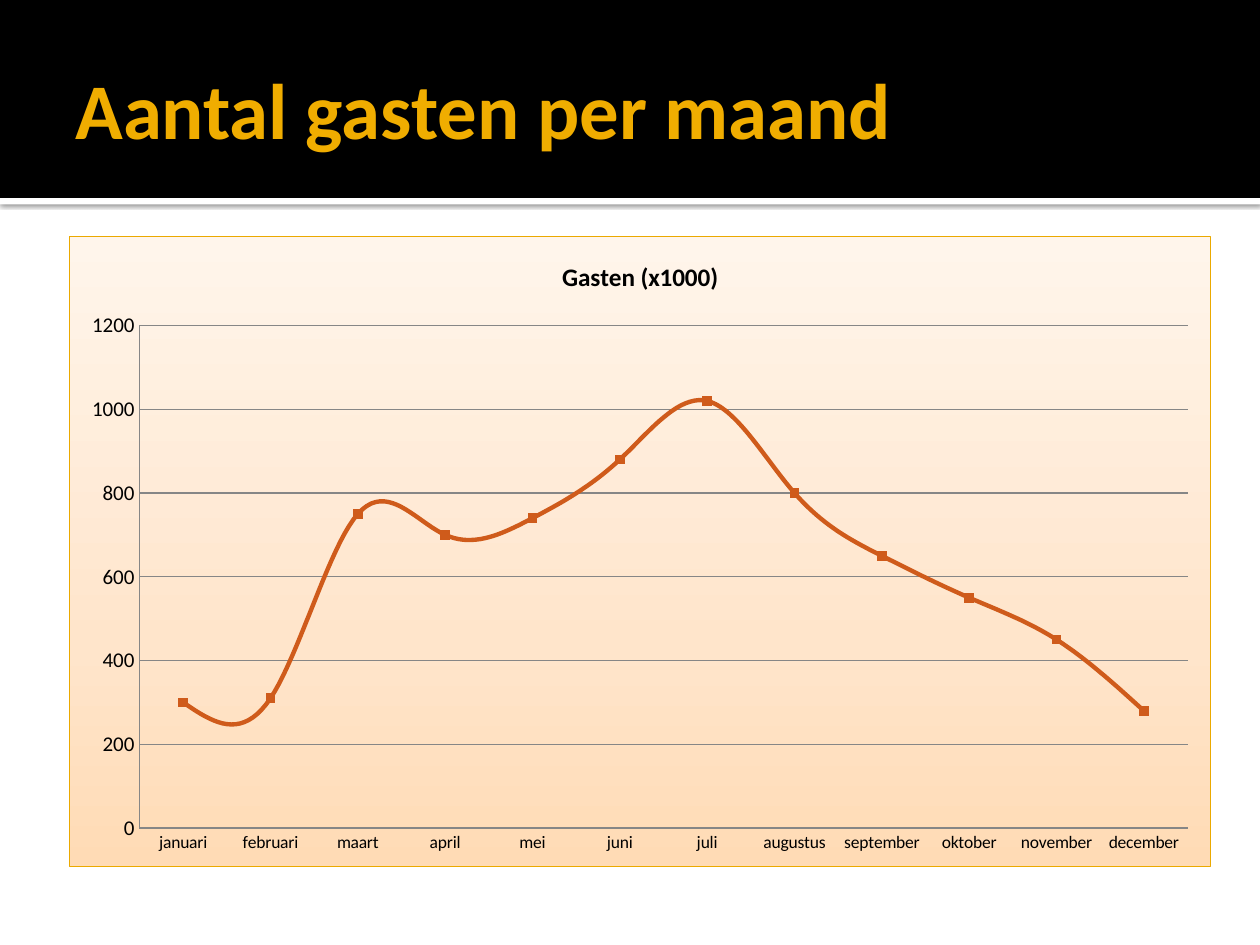
from lxml.etree import SubElement
from pptx import Presentation
from pptx.chart.data import CategoryChartData
from pptx.dml.color import RGBColor
from pptx.enum.chart import XL_CHART_TYPE, XL_MARKER_STYLE, XL_TICK_MARK
from pptx.enum.shapes import MSO_SHAPE
from pptx.enum.text import MSO_ANCHOR, PP_ALIGN
from pptx.oxml import parse_xml
from pptx.oxml.ns import nsdecls, qn
from pptx.util import Cm, Pt

COLORS = {
    "black": "000000",
    "white": "FFFFFF",
    "title": "F0AD00",
    "series": "CF5B1B",
    "grid": "868686",
    "border": "EBA900",
}
FONT = "Calibri"
GRADIENT = [(0, "FFDBB5"), (35, "FFE5CB"), (100, "FFF5EB")]
PLOT_AREA = {"x": 0.061, "y": 0.142, "w": 0.919, "h": 0.797}
GUESTS = {
    "januari": 300,
    "februari": 310,
    "maart": 750,
    "april": 700,
    "mei": 740,
    "juni": 880,
    "juli": 1020,
    "augustus": 800,
    "september": 650,
    "oktober": 550,
    "november": 450,
    "december": 280,
}


def color(name):
    return RGBColor.from_string(COLORS[name])


def style_font(font, size, color_name, bold=False):
    font.name = FONT
    font.size = Pt(size)
    font.bold = bold
    font.color.rgb = color(color_name)


def style_line(line, color_name, width):
    line.color.rgb = color(color_name)
    line.width = Pt(width)


def add_band(page, top, height, color_name):
    """Add a borderless bar across the full slide width."""
    band = page.shapes.add_shape(MSO_SHAPE.RECTANGLE, 0, top, Cm(25.4), height)
    band.shadow.inherit = False
    band.fill.solid()
    band.fill.fore_color.rgb = color(color_name)
    band.line.fill.background()
    return band


def add_shadow(shape):
    effects = shape.element.spPr.find(qn("a:effectLst"))
    shadow = SubElement(effects, qn("a:outerShdw"), blurRad=str(Pt(2.5)),
                        dist=str(Pt(0.8)), dir="5400000", rotWithShape="0")
    black = SubElement(shadow, qn("a:srgbClr"), val=COLORS["black"])
    SubElement(black, qn("a:alpha"), val="60000")


def place_title(page, text):
    title = page.shapes.title
    title.left, title.top, title.width, title.height = Cm(1.27), Cm(0.43), Cm(22.86), Cm(3.48)
    frame = title.text_frame
    frame.text = text
    frame.vertical_anchor = MSO_ANCHOR.MIDDLE
    frame.margin_left = Cm(0.25)
    frame.margin_right = frame.margin_top = frame.margin_bottom = Cm(0.13)
    para = frame.paragraphs[0]
    para.alignment = PP_ALIGN.LEFT
    style_font(para.runs[0].font, 45, "title", bold=True)
    # Bring the title in front of the bands
    title.element.getparent().append(title.element)


def set_chart_background(chart):
    stops = "".join(
        f'<a:gs pos="{position * 1000}"><a:srgbClr val="{value}"/></a:gs>'
        for position, value in GRADIENT
    )
    background = parse_xml(
        f'<c:spPr {nsdecls("c", "a")}>'
        f'<a:gradFill><a:gsLst>{stops}</a:gsLst><a:lin ang="16200000" scaled="1"/></a:gradFill>'
        f'<a:ln w="{Pt(0.5)}"><a:solidFill><a:srgbClr val="{COLORS["border"]}"/></a:solidFill></a:ln>'
        "</c:spPr>"
    )
    chart.element.find(qn("c:chart")).addnext(background)


def set_plot_layout(chart):
    plot_area = chart.element.find(qn("c:chart")).find(qn("c:plotArea"))
    for layout in plot_area.findall(qn("c:layout")):
        plot_area.remove(layout)
    layout = parse_xml(f'<c:layout {nsdecls("c")}/>')
    manual = SubElement(layout, qn("c:manualLayout"))
    SubElement(manual, qn("c:layoutTarget"), val="inner")
    for mode in ("xMode", "yMode"):
        SubElement(manual, qn(f"c:{mode}"), val="edge")
    for side, share in PLOT_AREA.items():
        SubElement(manual, qn(f"c:{side}"), val=str(share))
    plot_area.insert(0, layout)


def style_axis(axis, size):
    axis.major_tick_mark = axis.minor_tick_mark = XL_TICK_MARK.NONE
    style_font(axis.tick_labels.font, size, "black")
    style_line(axis.format.line, "grid", 0.75)


def style_series(series):
    series.smooth = True
    style_line(series.format.line, "series", 2.5)
    marker = series.marker
    marker.style = XL_MARKER_STYLE.SQUARE
    marker.size = 5
    marker.format.fill.solid()
    marker.format.fill.fore_color.rgb = color("series")
    style_line(marker.format.line, "series", 0.75)


def add_guest_chart(page, name):
    data = CategoryChartData()
    data.categories = list(GUESTS)
    data.add_series(name, list(GUESTS.values()))
    chart = page.shapes.add_chart(XL_CHART_TYPE.LINE_MARKERS, Cm(1.4), Cm(4.75),
                                  Cm(23.01), Cm(12.73), data).chart
    style_font(chart.font, 12, "black")
    chart.has_legend = False
    chart.has_title = True
    chart.chart_title.include_in_layout = False
    chart.chart_title.text_frame.text = name
    title_run = chart.chart_title.text_frame.paragraphs[0].runs[0]
    style_font(title_run.font, 14.4, "black", bold=True)

    style_axis(chart.category_axis, 10)
    values = chart.value_axis
    style_axis(values, 12)
    values.minimum_scale, values.maximum_scale, values.major_unit = 0, 1200, 200
    values.has_major_gridlines = True
    style_line(values.major_gridlines.format.line, "grid", 0.75)

    chart.plots[0].vary_by_categories = False
    style_series(chart.plots[0].series[0])
    set_chart_background(chart)
    set_plot_layout(chart)


def main():
    deck = Presentation()
    deck.slide_width, deck.slide_height = Cm(25.4), Cm(19.05)
    page = deck.slides.add_slide(deck.slide_layouts[5])
    page.background.fill.solid()
    page.background.fill.fore_color.rgb = color("white")

    header_height = Cm(3.99)
    add_shadow(add_band(page, header_height, Cm(0.13), "white"))
    add_band(page, 0, header_height, "black")
    place_title(page, "Aantal gasten per maand")
    add_guest_chart(page, "Gasten (x1000)")
    deck.save("out.pptx")


if __name__ == "__main__":
    main()
